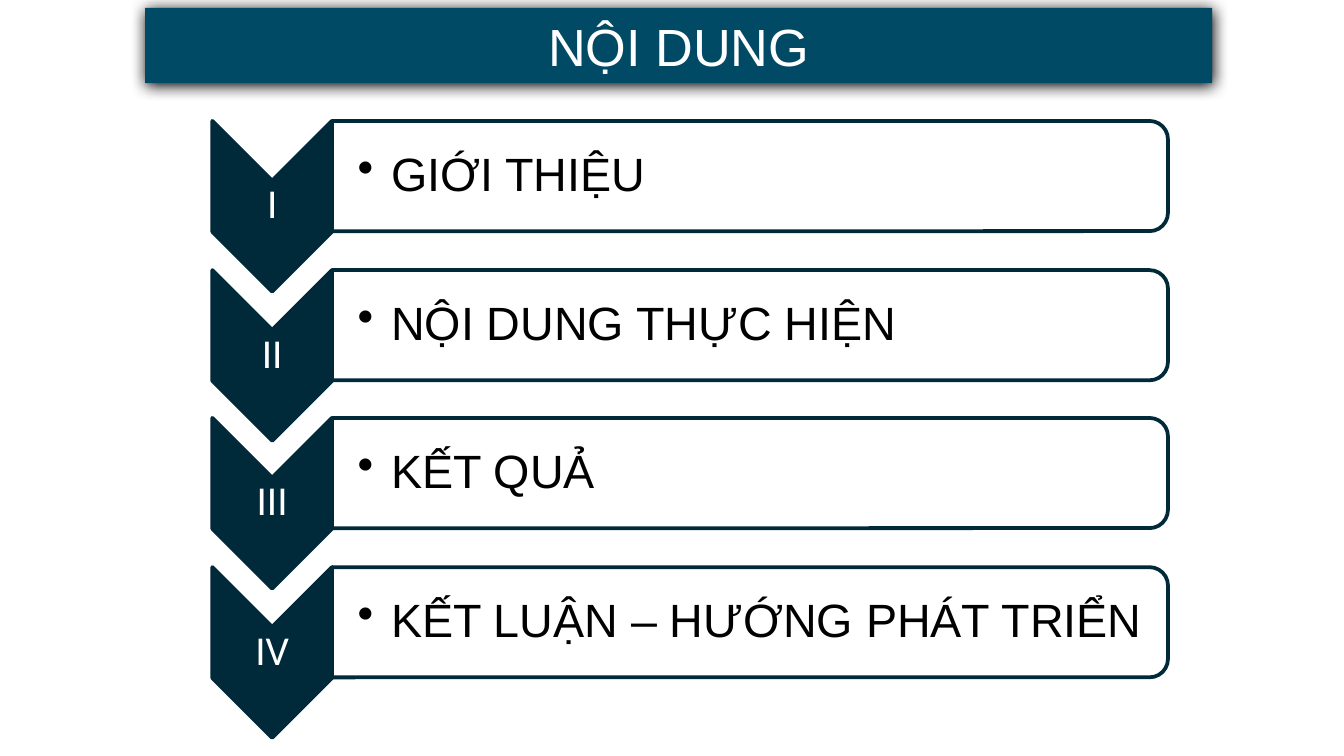
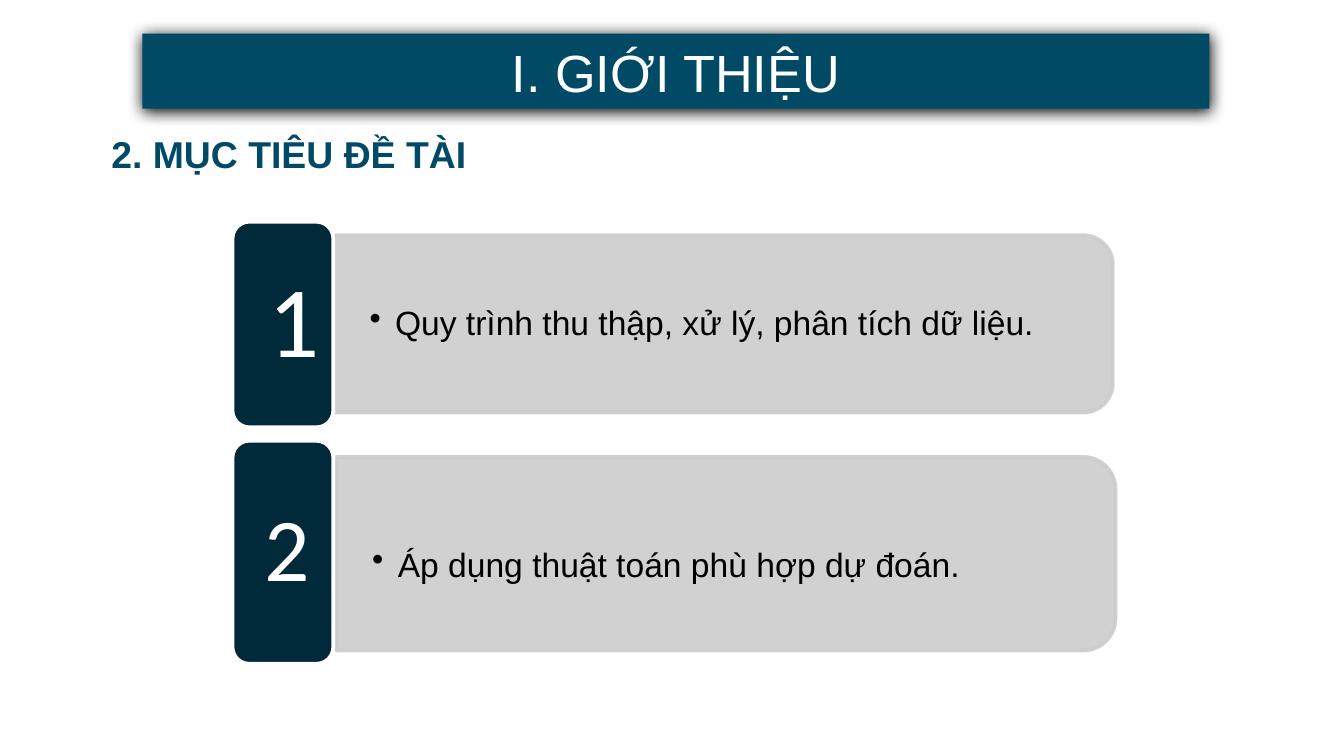
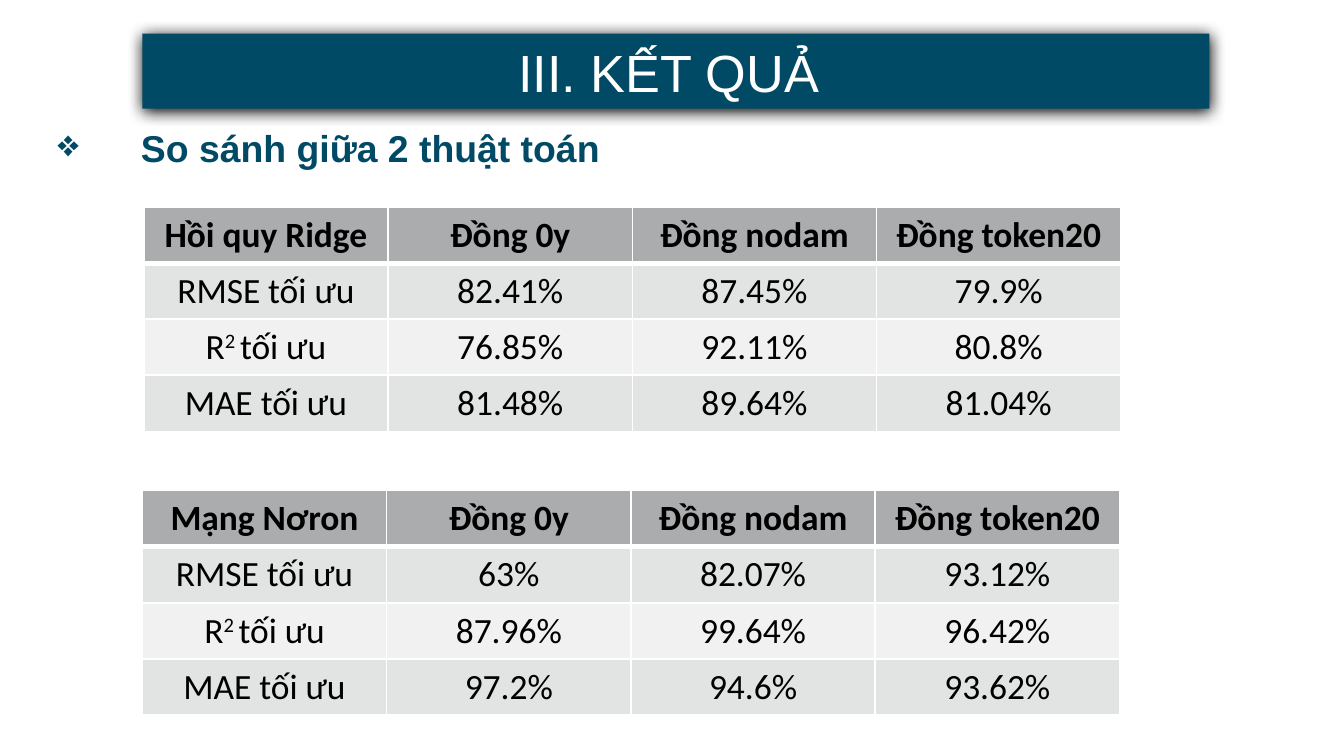
from lxml import etree
from pptx import Presentation
from pptx.dml.color import RGBColor
from pptx.enum.shapes import MSO_SHAPE
from pptx.enum.text import MSO_ANCHOR, PP_ALIGN
from pptx.oxml import parse_xml
from pptx.oxml.ns import nsdecls, qn
from pptx.util import Inches, Pt

PX = 9144  # 100 px to the inch
COLORS = {
    "white": "FFFFFF", "black": "000000", "band": "004A66", "navy": "002939",
    "panel": "CCCDCE", "head": "AAACAE", "odd": "E2E3E3", "even": "F1F1F2",
}


def px(*values):
    return [round(v * PX) for v in values]


def rgb(name):
    return RGBColor.from_string(COLORS[name])


def set_alpha(element, percent):
    for clr in element.iter(qn("a:srgbClr")):
        etree.SubElement(clr, qn("a:alpha")).set("val", str(percent * 1000))


# Text
def style(p, size, color, font="Arial", bold=False, align=PP_ALIGN.LEFT, spacing=None):
    p.alignment = align
    p.line_spacing = spacing
    p.font.size, p.font.name, p.font.bold = Pt(size), font, bold
    p.font.color.rgb = rgb(color)


def add_bullet(p, char, indent):
    pPr = p._p.get_or_add_pPr()
    pPr.set("marL", str(indent * PX))
    pPr.set("indent", str(-indent * PX))
    bullet = parse_xml(f'<a:buChar {nsdecls("a")} char="{char}"/>')
    pPr.insert_element_before(bullet, "a:tabLst", "a:defRPr", "a:extLst")
    p.runs[0].font.size = p.font.size  # the bullet takes its size from the run


def write(sp, text, size, color, insets=(10, 5, 10, 5), anchor=MSO_ANCHOR.MIDDLE, **fmt):
    tf = sp.text_frame
    tf.word_wrap = True
    tf.vertical_anchor = anchor
    tf.margin_left, tf.margin_top, tf.margin_right, tf.margin_bottom = px(*insets)
    p = tf.paragraphs[0]
    p.add_run().text = text
    style(p, size, color, **fmt)
    return p


def add_text(shapes, box, text, size, color, **fmt):
    return write(shapes.add_textbox(*px(*box)), text, size, color, **fmt)


def add_item(shapes, box, text, size, indent, insets, spacing=0.9):
    p = add_text(shapes, box, text, size, "black", insets=insets, spacing=spacing)
    p.level = 1
    add_bullet(p, "•", indent)


def add_number(shapes, box, text, size, insets):
    add_text(shapes, box, text, size, "white", insets=insets, font="Calibri",
             align=PP_ALIGN.CENTER, spacing=0.9)


# Shapes
def add_shape(shapes, kind, box, fill, line=None, alpha=None, line_alpha=None):
    sp = shapes.add_shape(kind, *px(*box))
    sp.shadow.inherit = False
    sp.fill.solid()
    sp.fill.fore_color.rgb = rgb(fill)
    if alpha:
        set_alpha(sp._element.spPr, alpha)
    if line:
        sp.line.color.rgb = rgb(line)
        sp.line.width = Pt(2)
        if line_alpha:
            set_alpha(sp.line._ln, line_alpha)
    else:
        sp.line.fill.background()
    return sp


def add_turned(shapes, kind, box, *args, **kwargs):
    """Shape turned by 90 degrees that covers the given box."""
    left, top, w, h = box
    shift = (w - h) / 2
    sp = add_shape(shapes, kind, (left + shift, top - shift, h, w), *args, **kwargs)
    sp.rotation = 90


def add_band(s, left, top, text):
    sp = add_shape(s.shapes, MSO_SHAPE.RECTANGLE, (left, top, 794, 56), "band")
    effects = sp._element.spPr.find(qn("a:effectLst"))
    effects.append(parse_xml(
        f'<a:outerShdw {nsdecls("a")} blurRad="{Pt(8.5)}" dist="{Pt(1)}" dir="5400000" '
        f'algn="t" rotWithShape="0"><a:srgbClr val="{COLORS["black"]}"/></a:outerShdw>'))
    write(sp, text, 28, "white", insets=(6, 6, 6, 6), align=PP_ALIGN.CENTER)


def new_slide(prs):
    s = prs.slides.add_slide(prs.slide_layouts[6])
    s.background.fill.solid()
    s.background.fill.fore_color.rgb = rgb("white")
    return s


# Table
def set_borders(cell, row):
    tcPr = cell._tc.get_or_add_tcPr()
    widths = {"L": 1, "R": 1, "T": 3 if row == 1 else 1, "B": 3 if row == 0 else 1}
    for side, width in widths.items():
        tcPr.append(parse_xml(
            f'<a:ln{side} {nsdecls("a")} w="{Pt(width)}"><a:solidFill>'
            f'<a:srgbClr val="{COLORS["white"]}"/></a:solidFill></a:ln{side}>'))


def fill_cell(cell, row, text):
    set_borders(cell, row)
    cell.fill.solid()
    cell.fill.fore_color.rgb = rgb("head" if row == 0 else "odd" if row % 2 else "even")
    p = cell.text_frame.paragraphs[0]
    for i, part in enumerate(text.split("^")):  # text between ^ marks is raised
        r = p.add_run()
        r.text = part
        if i % 2:
            r._r.get_or_add_rPr().set("baseline", "30000")
    style(p, 19, "black", font="Calibri", bold=row == 0, align=PP_ALIGN.CENTER)


def add_results(s, left, top, method, scores):
    rows = [(method, "Đồng 0y", "Đồng nodam", "Đồng token20")]
    rows += [(name, *values) for name, values in
             zip(("RMSE tối ưu", "R^2 ^tối ưu", "MAE tối ưu"), scores)]
    table = s.shapes.add_table(4, 4, *px(left, top, 727, 167)).table
    for i, row in enumerate(rows):
        for j, text in enumerate(row):
            fill_cell(table.cell(i, j), i, text)


# Slides
def build_contents(prs):
    s = new_slide(prs)
    add_band(s, 108, 6, "NỘI DUNG")
    group = s.shapes.add_group_shape().shapes
    chapters = [("I", "GIỚI THIỆU"), ("II", "NỘI DUNG THỰC HIỆN"),
                ("III", "KẾT QUẢ"), ("IV", "KẾT LUẬN – HƯỚNG PHÁT TRIỂN")]
    for i, (numeral, title) in enumerate(chapters):
        top = 90 + round(i * 110.6)
        add_turned(group, MSO_SHAPE.CHEVRON, (158, top, 89, 127), "navy", "navy")
        add_number(group, (158, top + 44, 89, 38), numeral, 22, (2, 2, 2, 2))
        add_turned(group, MSO_SHAPE.ROUND_2_SAME_RECTANGLE, (247, top, 622, 82),
                   "white", "navy", alpha=90)
        add_item(group, (247, top + 4, 618, 74), title, 25, 25, (19, 2, 2, 2))


def build_goals(prs):
    s = new_slide(prs)
    add_band(s, 106, 25, "I. GIỚI THIỆU")
    add_text(s.shapes, (73, 93, 294, 44), "2. MỤC TIÊU ĐỀ TÀI", 20, "band",
             anchor=MSO_ANCHOR.TOP, bold=True)
    group = s.shapes.add_group_shape().shapes
    # number, size, insets, tile top and height, panel box, text box, spacing, text
    goals = [
        ("1", 54, (23, 11, 23, 11), 165, 153, (248, 175, 580, 132),
         (248, 182, 573, 119), 0.9, "Quy trình thu thập, xử lý, phân tích dữ liệu."),
        ("2", 48, (20, 10, 20, 10), 328, 166, (250, 340, 580, 144),
         (250, 347, 573, 130), 1.5, "Áp dụng thuật toán phù hợp dự đoán."),
    ]
    for number, size, insets, top, height, panel, text_box, spacing, text in goals:
        add_turned(group, MSO_SHAPE.ROUND_2_SAME_RECTANGLE, panel, "panel", "panel",
                   alpha=90, line_alpha=90)
        add_item(group, text_box, text, 18, 19, (27, 14, 27, 14), spacing)
        add_shape(group, MSO_SHAPE.ROUNDED_RECTANGLE, (173, top, 75, height),
                  "navy", "white")
        add_number(group, (177, top + 4, 67, height - 8), number, size, insets)


def build_results(prs):
    s = new_slide(prs)
    p = add_text(s.shapes, (33, 88, 925, 77), "So sánh giữa 2 thuật toán", 20, "band",
                 anchor=MSO_ANCHOR.TOP, bold=True)
    add_bullet(p, "❖", 62)
    add_band(s, 106, 25, "III. KẾT QUẢ ")
    add_results(s, 107, 154, "Hồi quy Ridge", [
        ("82.41%", "87.45%", "79.9%"),
        ("76.85%", "92.11%", "80.8%"),
        ("81.48%", "89.64%", "81.04%")])
    add_results(s, 106, 365, "Mạng Nơron", [
        ("63%", "82.07%", "93.12%"),
        ("87.96%", "99.64%", "96.42%"),
        ("97.2%", "94.6%", "93.62%")])


def main():
    prs = Presentation()
    prs.slide_width, prs.slide_height = Inches(10), Inches(5.625)
    build_contents(prs)
    build_goals(prs)
    build_results(prs)
    prs.save("out.pptx")


if __name__ == "__main__":
    main()
